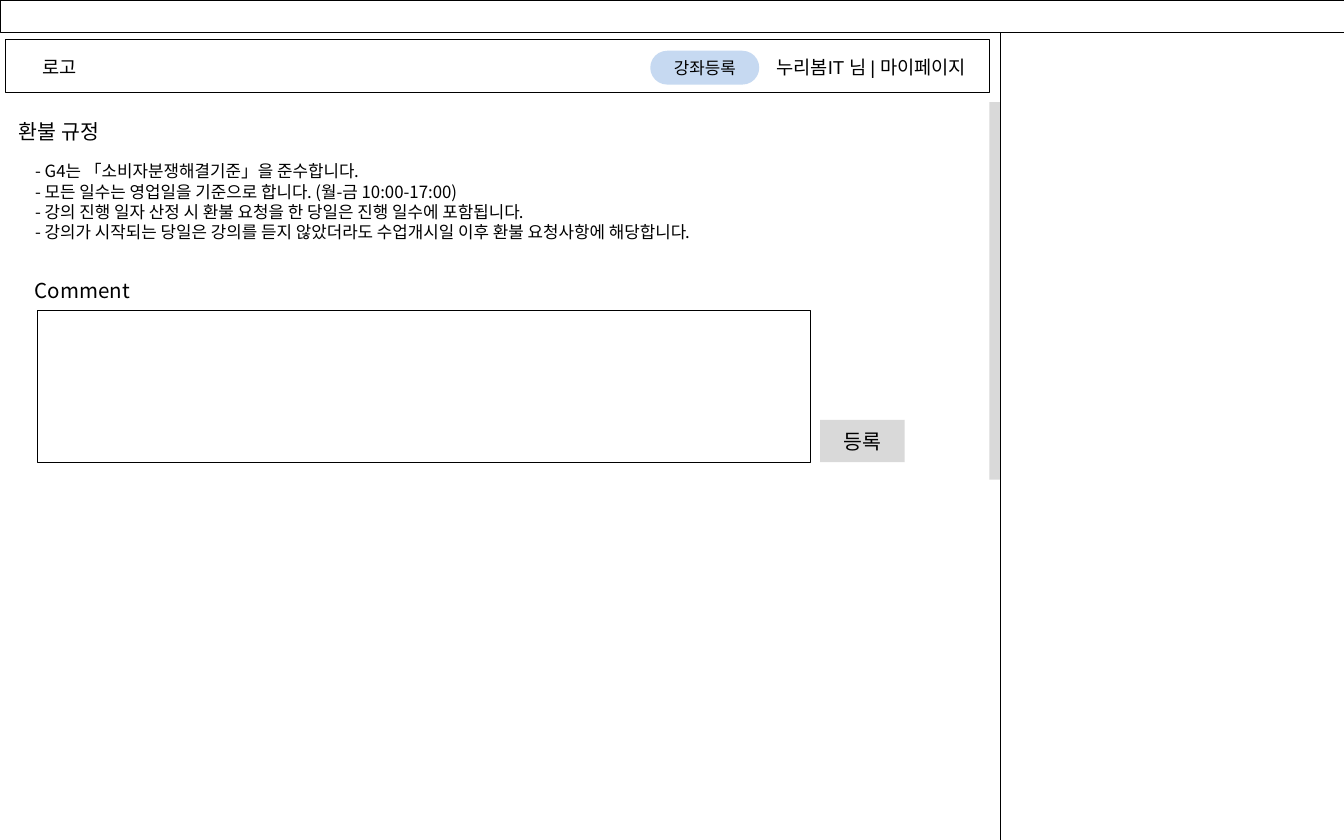
from pptx import Presentation
from pptx import util as u
from pptx.dml.color import RGBColor
from pptx.enum import shapes, text
from pptx.oxml import parse_xml
from pptx.oxml.ns import nsdecls

NOTO = "Noto Sans CJK KR"
RECT = shapes.MSO_SHAPE.RECTANGLE
PILL = shapes.MSO_SHAPE.ROUNDED_RECTANGLE
LEFT, MID = text.PP_ALIGN.LEFT, text.PP_ALIGN.CENTER
GROW = text.MSO_AUTO_SIZE.SHAPE_TO_FIT_TEXT
RULES = [
    "- G4는 「소비자분쟁해결기준」을 준수합니다.",
    "- 모든 일수는 영업일을 기준으로 합니다. (월-금 10:00-17:00)",
    "- 강의 진행 일자 산정 시 환불 요청을 한 당일은 진행 일수에 포함됩니다.",
    "- 강의가 시작되는 당일은 강의를 듣지 않았더라도 수업개시일 이후 환불 요청사항에 해당합니다.",
]


def color(code):
    return RGBColor.from_string(code)


def write(frame, lines, size, face=NOTO, align=LEFT):
    frame.text = "\n".join(lines)
    for par in frame.paragraphs:
        par.alignment = align
        par.space_before = u.Pt(0)
        par.font.size = u.Pt(size)
        par.font.name = face
        par.font.color.rgb = color("000000")


def block(slide, box, fill=None, line=None, kind=RECT):
    shape = slide.shapes.add_shape(kind, *map(u.Cm, box))
    shape.shadow.inherit = False
    if fill:
        shape.fill.solid()
        shape.fill.fore_color.rgb = color(fill)
    else:
        shape.fill.background()
    if line:
        shape.line.color.rgb = color(line)
        shape.line.width = u.Pt(0.25)
    else:
        shape.line.fill.background()
    return shape


def button(slide, box, label, size, fill, kind=RECT):
    shape = block(slide, box, fill, kind=kind)
    if kind == PILL:
        shape.adjustments[0] = 0.5
    frame = shape.text_frame
    frame.margin_left = frame.margin_right = 0
    frame.vertical_anchor = text.MSO_ANCHOR.MIDDLE
    write(frame, [label], size, align=MID)


def label(slide, box, words, size, face=NOTO, align=LEFT, wrap=False):
    frame = slide.shapes.add_textbox(*map(u.Cm, box)).text_frame
    frame.word_wrap = wrap
    frame.auto_size = GROW
    write(frame, [words], size, face, align)


def fit(holder, box, lines, size, wrap):
    holder.left, holder.top, holder.width, holder.height = map(u.Cm, box)
    frame = holder.text_frame
    frame.word_wrap = wrap
    frame.auto_size = GROW
    frame.vertical_anchor = text.MSO_ANCHOR.TOP
    write(frame, lines, size)


def header(slide, box):
    x, y, w, h = box
    block(slide, box, "FFFFFF", "000000")
    label(slide, (x + 0.41, y + 0.2, 1.22, 0.69), "로고", 10, "Arial", MID)
    label(slide, (x + w - 4.47, y + 0.2, 4.47, 0.69),
          "누리봄IT 님 | 마이페이지", 10, "Arial", MID)
    button(slide, (x + 12.19, y + 0.22, 2.06, 0.64), "강좌등록", 9, "C6D9F1", PILL)


def policy(slide, box):
    x, y, w, h = box
    fit(slide.shapes.title, (x, y, 6.6, 0.74), ["환불 규정"], 11, True)
    body = slide.placeholders[1]
    fit(body, (x + 0.31, y + 0.79, w - 0.31, h - 0.79), RULES, 9, False)
    for par in body.text_frame.paragraphs:
        props = par._p.get_or_add_pPr()
        props.set("marL", "0")
        props.set("indent", "0")
        none = parse_xml(f"<a:buNone {nsdecls('a')}/>")
        props.find("{*}defRPr").addprevious(none)


def comment(slide, box):
    x, y, w, h = box
    label(slide, (x, y, 6.6, 0.74), "Comment", 11, wrap=True)
    block(slide, (x + 0.3, y + 0.74, 14.6, h - 0.74), line="000000")
    button(slide, (x + w - 1.6, y + h - 0.8, 1.6, 0.8), "등록", 11, "D9D9D9")


def frame(slide, box):
    x, y, w, h = box
    block(slide, (x + 18.9, y, w - 18.9, h), "FFFFFF", "000000")
    block(slide, (x, y, w, 0.61), "FFFFFF", "000000")
    block(slide, (x + 18.7, y + 1.93, 0.2, 7.14), "D9D9D9")


def main():
    deck = Presentation()
    deck.slide_width, deck.slide_height = u.Cm(25.4), u.Cm(15.88)
    slide = deck.slides.add_slide(deck.slide_layouts[1])
    frame(slide, (0, 0, 25.4, 15.88))
    header(slide, (0.1, 0.74, 18.6, 1))
    policy(slide, (0.1, 2.13, 14.76, 2.59))
    comment(slide, (0.41, 5.13, 16.69, 3.61))
    deck.save("out.pptx")


if __name__ == "__main__":
    main()
